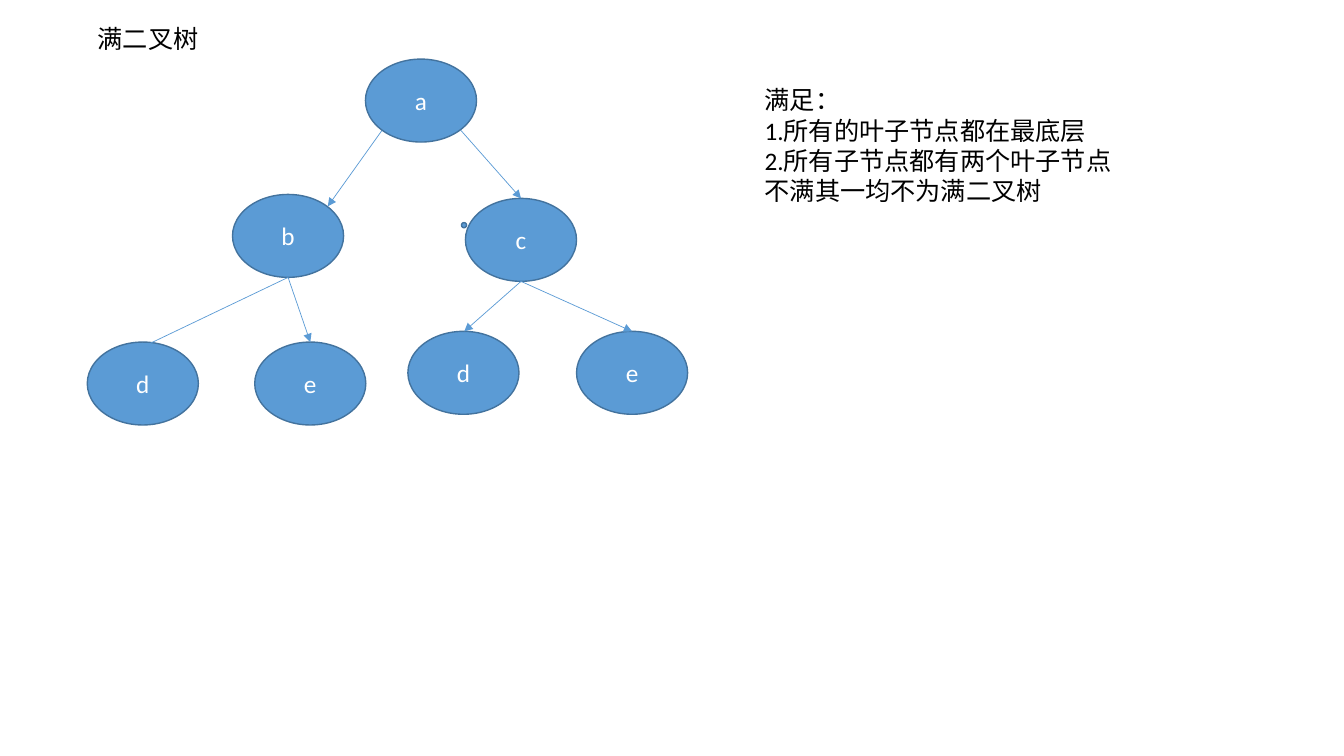
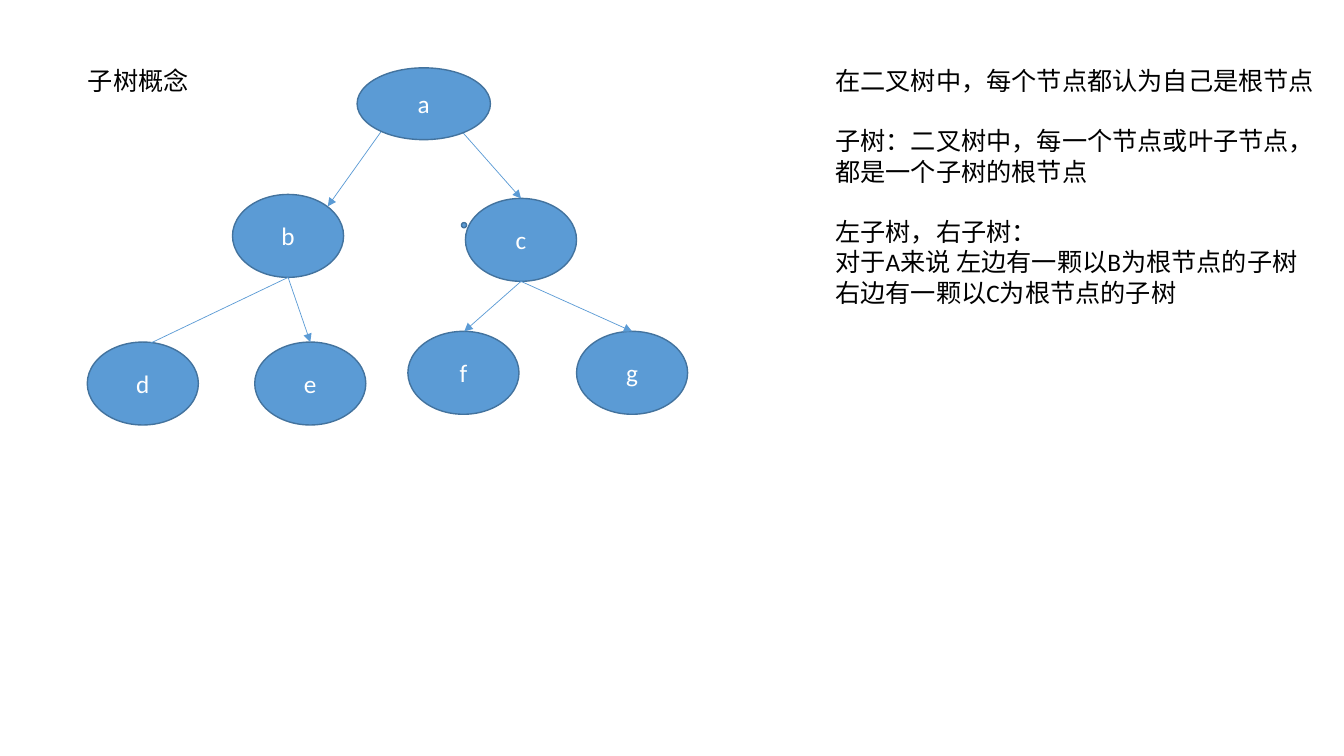
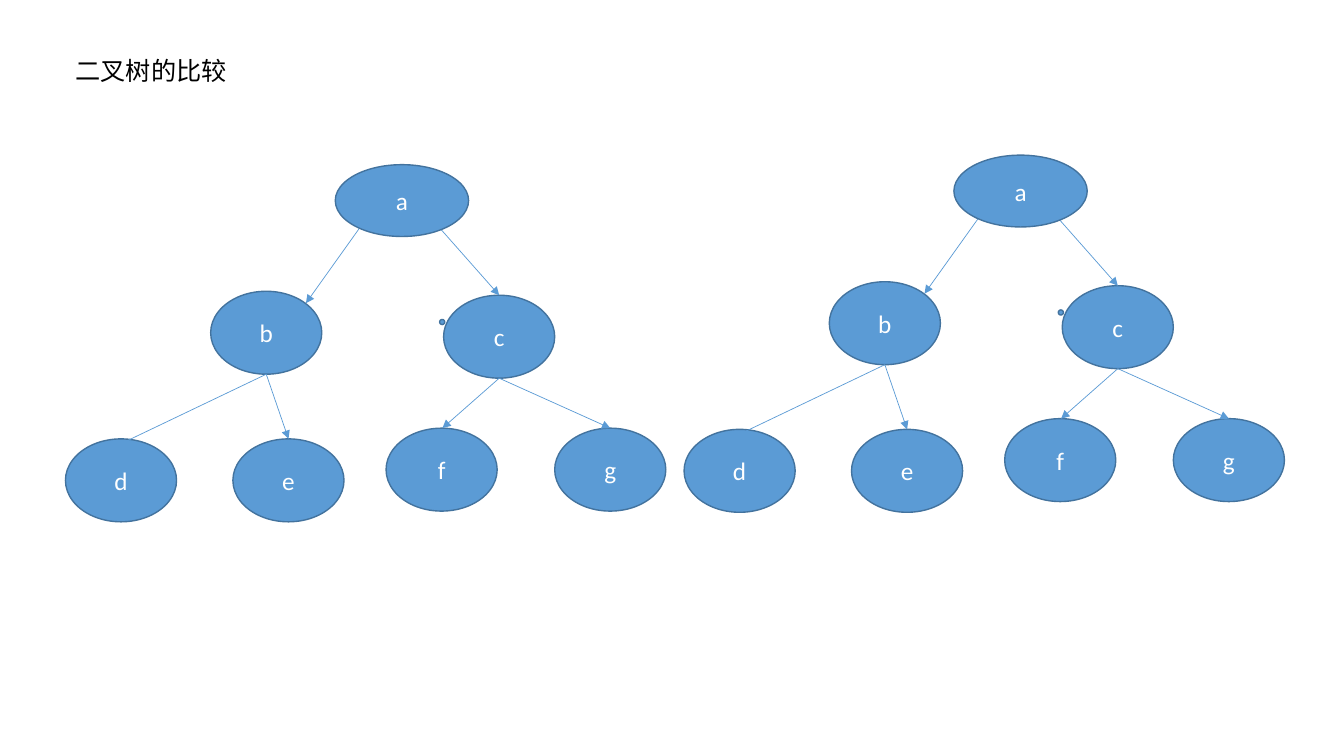
"""Build three slides on full binary trees, subtrees and tree comparison."""
from dataclasses import dataclass

import pptx
import pptx.dml.color
import pptx.enum.shapes
import pptx.enum.text
import pptx.oxml
import pptx.oxml.ns
import pptx.presentation
import pptx.shapes.autoshape
import pptx.slide
import pptx.text.text
import pptx.util

Cm = pptx.util.Cm
Pt = pptx.util.Pt
RGBColor = pptx.dml.color.RGBColor
PP_ALIGN = pptx.enum.text.PP_ALIGN
MSO_ANCHOR = pptx.enum.text.MSO_ANCHOR

NODE_FILL = RGBColor(0x5B, 0x9B, 0xD5)
NODE_LINE = RGBColor(0x43, 0x73, 0x9E)
WHITE = RGBColor(0xFF, 0xFF, 0xFF)
BLACK = RGBColor(0x00, 0x00, 0x00)
FONT = "Calibri"
FONT_SIZE = Pt(18)
BLANK_LINE = Pt(21.6)


@dataclass(frozen=True)
class Box:
    """A rectangle in centimetres."""
    left: float
    top: float
    width: float
    height: float


@dataclass(frozen=True)
class Edge:
    """An arrow between two points in centimetres."""
    start: tuple[float, float]
    end: tuple[float, float]


@dataclass(frozen=True)
class Tree:
    """Seven labels in level order, the root outline and a shift."""
    labels: str
    root: Box
    dx: float = 0
    dy: float = 0


@dataclass(frozen=True)
class Note:
    """Paragraph groups, set apart by one line of space."""
    box: Box
    groups: tuple[tuple[str, ...], ...]


@dataclass(frozen=True)
class TreeSlide:
    """The content of one slide."""
    title: str
    title_box: Box
    trees: tuple[Tree, ...]
    note: Note | None = None


NODE_WIDTH, NODE_HEIGHT = 2.8, 2.09
ROUND_ROOT = Box(9.21, 1.49, NODE_WIDTH, NODE_HEIGHT)
WIDE_ROOT = Box(9.0, 1.71, 3.36, 1.81)
CHILD_CORNERS = ((5.86, 4.9), (11.73, 5.0),
                 (2.2, 8.62), (6.42, 8.62), (10.28, 8.35), (14.53, 8.35))
DOT = Box(11.63, 5.61, 0.13, 0.13)

LEFT_FORK = (7.26, 6.99)
RIGHT_FORK = (13.13, 7.09)
EDGES = (
    Edge((9.63, 3.28), (8.26, 5.2)),
    Edge((11.61, 3.28), (13.13, 5.0)),
    Edge(LEFT_FORK, (3.33, 8.87)),
    Edge(LEFT_FORK, (7.82, 8.62)),
    Edge(RIGHT_FORK, (11.7, 8.35)),
    Edge(RIGHT_FORK, (15.93, 8.35)),
)

SLIDES = (
    TreeSlide(
        "满二叉树", Box(2.21, 0.46, 3.25, 1.02),
        (Tree("abcdede", ROUND_ROOT),),
        Note(Box(19.02, 2.01, 10.08, 4.11), (
            ("满足：", "1.所有的叶子节点都在最底层",
             "2.所有子节点都有两个叶子节点", "不满其一均不为满二叉树"),
        )),
    ),
    TreeSlide(
        "子树概念", Box(1.96, 1.52, 3.2, 1.02),
        (Tree("abcdefg", WIDE_ROOT),),
        Note(Box(20.8, 1.52, 12.7, 6.4), (
            ("在二叉树中，每个节点都认为自己是根节点",),
            ("子树：二叉树中，每一个节点或叶子节点，", "都是一个子树的根节点"),
            ("左子树，右子树：", "对于A来说 左边有一颗以B为根节点的子树",
             "右边有一颗以C为根节点的子树"),
        )),
    ),
    TreeSlide(
        "二叉树的比较", Box(1.65, 1.27, 4.4, 1.02),
        (Tree("abcdefg", WIDE_ROOT, -0.55, 2.44),
         Tree("abcdefg", WIDE_ROOT, 15.04, 2.2)),
    ),
)


def format_paragraph(paragraph: pptx.text.text._Paragraph, color: RGBColor,
                     align: PP_ALIGN) -> None:
    """Apply the shared font to a filled paragraph."""
    paragraph.alignment = align
    for run in paragraph.runs:
        run.font.name = FONT
        run.font.size = FONT_SIZE
        run.font.color.rgb = color


def add_title(slide: pptx.slide.Slide, text: str, box: Box) -> None:
    """Place and format the title placeholder."""
    title = slide.shapes.title
    title.left, title.top = Cm(box.left), Cm(box.top)
    title.width, title.height = Cm(box.width), Cm(box.height)
    frame = title.text_frame
    frame.text = text
    frame.word_wrap = True
    frame.auto_size = pptx.enum.text.MSO_AUTO_SIZE.NONE
    frame.vertical_anchor = MSO_ANCHOR.TOP
    format_paragraph(frame.paragraphs[0], BLACK, PP_ALIGN.LEFT)


def add_note(slide: pptx.slide.Slide, note: Note) -> None:
    """Write the explanation beside a tree."""
    box = note.box
    frame = slide.shapes.add_textbox(
        Cm(box.left), Cm(box.top), Cm(box.width), Cm(box.height)).text_frame
    frame.word_wrap = True
    frame.text = "\n".join(line for group in note.groups for line in group)
    for paragraph in frame.paragraphs:
        format_paragraph(paragraph, BLACK, PP_ALIGN.LEFT)
    group_start = 0
    for group in note.groups[:-1]:
        group_start += len(group)
        frame.paragraphs[group_start].space_before = BLANK_LINE


def add_ellipse(slide: pptx.slide.Slide, box: Box,
                tree: Tree) -> pptx.shapes.autoshape.Shape:
    """Draw an ellipse shifted with its tree."""
    ellipse = slide.shapes.add_shape(
        pptx.enum.shapes.MSO_SHAPE.OVAL, Cm(box.left + tree.dx),
        Cm(box.top + tree.dy), Cm(box.width), Cm(box.height))
    ellipse.shadow.inherit = False
    ellipse.fill.solid()
    ellipse.fill.fore_color.rgb = NODE_FILL
    ellipse.line.color.rgb = NODE_LINE
    ellipse.line.width = Pt(1)
    return ellipse


def add_node(slide: pptx.slide.Slide, label: str, box: Box, tree: Tree) -> None:
    """Draw one labelled tree node."""
    frame = add_ellipse(slide, box, tree).text_frame
    frame.text = label
    frame.vertical_anchor = MSO_ANCHOR.MIDDLE
    format_paragraph(frame.paragraphs[0], WHITE, PP_ALIGN.CENTER)


def add_edge(slide: pptx.slide.Slide, edge: Edge, tree: Tree) -> None:
    """Draw an arrow from parent to child."""
    (x1, y1), (x2, y2) = edge.start, edge.end
    arrow = slide.shapes.add_connector(
        pptx.enum.shapes.MSO_CONNECTOR.STRAIGHT,
        Cm(x1 + tree.dx), Cm(y1 + tree.dy), Cm(x2 + tree.dx), Cm(y2 + tree.dy))
    arrow.line.color.rgb = NODE_FILL
    arrow.line.width = Pt(0.5)
    namespace = pptx.oxml.ns.nsdecls("a")
    arrow.line._get_or_add_ln().append(
        pptx.oxml.parse_xml(f'<a:tailEnd {namespace} type="triangle"/>'))
    arrow._element.spPr.append(
        pptx.oxml.parse_xml(f"<a:effectLst {namespace}/>"))


def add_tree(slide: pptx.slide.Slide, tree: Tree) -> None:
    """Draw children, dot and edges, then the root on top."""
    for label, (left, top) in zip(tree.labels[1:], CHILD_CORNERS):
        add_node(slide, label, Box(left, top, NODE_WIDTH, NODE_HEIGHT), tree)
    add_ellipse(slide, DOT, tree)
    for edge in EDGES:
        add_edge(slide, edge, tree)
    add_node(slide, tree.labels[0], tree.root, tree)


def add_tree_slide(deck: pptx.presentation.Presentation,
                   content: TreeSlide) -> None:
    """Add one slide with its title, trees and note."""
    slide = deck.slides.add_slide(deck.slide_layouts.get_by_name("Title Only"))
    add_title(slide, content.title, content.title_box)
    for tree in content.trees:
        add_tree(slide, tree)
    if content.note:
        add_note(slide, content.note)


def main() -> None:
    """Build and save the deck."""
    deck = pptx.Presentation()
    deck.slide_width, deck.slide_height = Cm(33.87), Cm(19.05)
    for content in SLIDES:
        add_tree_slide(deck, content)
    deck.save("out.pptx")


main()
